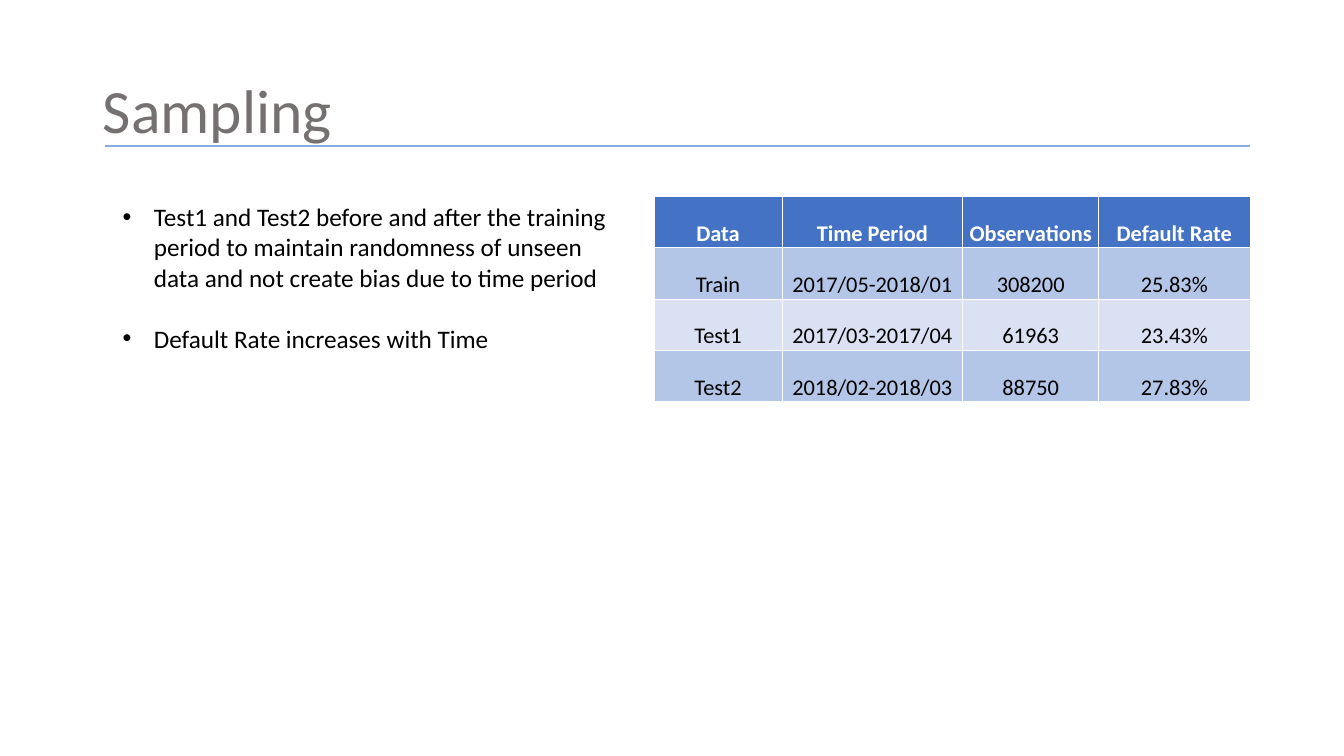
from dataclasses import dataclass

import pptx
import pptx.dml.color
import pptx.enum.shapes
import pptx.enum.text
import pptx.oxml.ns
import pptx.oxml.xmlchemy
import pptx.util
from lxml import etree
from pptx.util import Cm

qn = pptx.oxml.ns.qn
Align = pptx.enum.text.PP_ALIGN
Anchor = pptx.enum.text.MSO_ANCHOR


@dataclass(frozen=True)
class Theme:
    font: str = "Calibri"
    title: str = "767171"
    text: str = "000000"
    rule: str = "8FAADC"
    header_fill: str = "4472C4"
    header_text: str = "FFFFFF"
    row_fills: tuple = ("B4C6E7", "D9E1F2")
    border: str = "FFFFFF"
    title_size: int = 44
    body_size: int = 18
    table_size: int = 16
    rule_width: float = 2
    border_width: float = 0.5


THEME = Theme()

BULLETS = [
    "Test1 and Test2 before and after the training period to maintain "
    "randomness of unseen data and not create bias due to time period",
    "Default Rate increases with Time",
]
SAMPLES = [
    ["Data", "Time Period", "Observations", "Default Rate"],
    ["Train", "2017/05-2018/01", "308200", "25.83%"],
    ["Test1", "2017/03-2017/04", "61963", "23.43%"],
    ["Test2", "2018/02-2018/03", "88750", "27.83%"],
]
COLUMN_WIDTHS = [3.23, 4.55, 3.43, 3.81]
ROW_HEIGHT = 1.29


def color(code):
    return pptx.dml.color.RGBColor.from_string(code)


def add_span(para, text, size, code, bold=False):
    span = para.add_run()
    span.text = text
    span.font.name = THEME.font
    span.font.size = pptx.util.Pt(size)
    span.font.bold = bold
    span.font.color.rgb = color(code)


def set_title(page, text):
    title = page.shapes.title
    title.left, title.top = Cm(2.34), Cm(1.02)
    title.width, title.height = Cm(29.21), Cm(3.68)
    title.text_frame.vertical_anchor = Anchor.MIDDLE
    para = title.text_frame.paragraphs[0]
    para.alignment = Align.LEFT
    para.line_spacing = 0.9
    add_span(para, text, THEME.title_size, THEME.title)


def add_rule(page, left, right, top):
    rule = page.shapes.add_connector(
        pptx.enum.shapes.MSO_CONNECTOR.STRAIGHT, left, top, right, top)
    rule.line.color.rgb = color(THEME.rule)
    rule.line.width = pptx.util.Pt(THEME.rule_width)
    etree.SubElement(rule.element.spPr, qn("a:effectLst"))


def set_bullet(para, indent):
    properties = para._p.get_or_add_pPr()
    properties.set("marL", str(indent))
    properties.set("indent", str(-indent))
    etree.SubElement(properties, qn("a:buFont"), typeface="Arial")
    etree.SubElement(properties, qn("a:buChar"), char="•")


def add_bullets(page, texts):
    box = page.shapes.add_textbox(Cm(2.84), Cm(4.95), Cm(13.08), Cm(6.4))
    frame = box.text_frame
    frame.word_wrap = True
    for index, text in enumerate(texts):
        para = frame.add_paragraph() if index else frame.paragraphs[0]
        if index:
            para.space_before = pptx.util.Pt(22)
        set_bullet(para, Cm(0.79))
        add_span(para, text, THEME.body_size, THEME.text)


def set_borders(cell):
    properties = cell._tc.get_or_add_tcPr()
    width = str(pptx.util.Pt(THEME.border_width))
    # The schema wants the borders ahead of the cell fill.
    for place, side in enumerate(("lnL", "lnR", "lnT", "lnB")):
        line = etree.Element(qn(f"a:{side}"), w=width)
        fill = etree.SubElement(line, qn("a:solidFill"))
        etree.SubElement(fill, qn("a:srgbClr"), val=THEME.border)
        properties.insert(place, line)


def fill_cell(cell, text, fill, code, bold):
    cell.fill.solid()
    cell.fill.fore_color.rgb = color(fill)
    cell.margin_left = cell.margin_right = cell.margin_top = Cm(0.03)
    cell.margin_bottom = 0
    cell.vertical_anchor = Anchor.BOTTOM
    para = cell.text_frame.paragraphs[0]
    para.alignment = Align.CENTER
    add_span(para, text, THEME.table_size, code, bold)
    set_borders(cell)


def add_sample_table(page, rows):
    table = page.shapes.add_table(
        len(rows), len(COLUMN_WIDTHS), Cm(16.48), Cm(4.95),
        Cm(sum(COLUMN_WIDTHS)), Cm(ROW_HEIGHT * len(rows))).table
    for column, width in zip(table.columns, COLUMN_WIDTHS):
        column.width = Cm(width)
    for index, values in enumerate(rows):
        table.rows[index].height = Cm(ROW_HEIGHT)
        header = index == 0
        fill = THEME.header_fill if header else THEME.row_fills[(index - 1) % 2]
        code = THEME.header_text if header else THEME.text
        for position, value in enumerate(values):
            fill_cell(table.cell(index, position), value, fill, code, header)


def main():
    deck = pptx.Presentation()
    deck.slide_width, deck.slide_height = Cm(33.87), Cm(19.05)
    page = deck.slides.add_slide(deck.slide_layouts.get_by_name("Title Only"))
    set_title(page, "Sampling")
    add_rule(page, Cm(2.64), Cm(31.5), Cm(3.68))
    add_sample_table(page, SAMPLES)
    add_bullets(page, BULLETS)
    deck.save("out.pptx")


if __name__ == "__main__":
    main()
